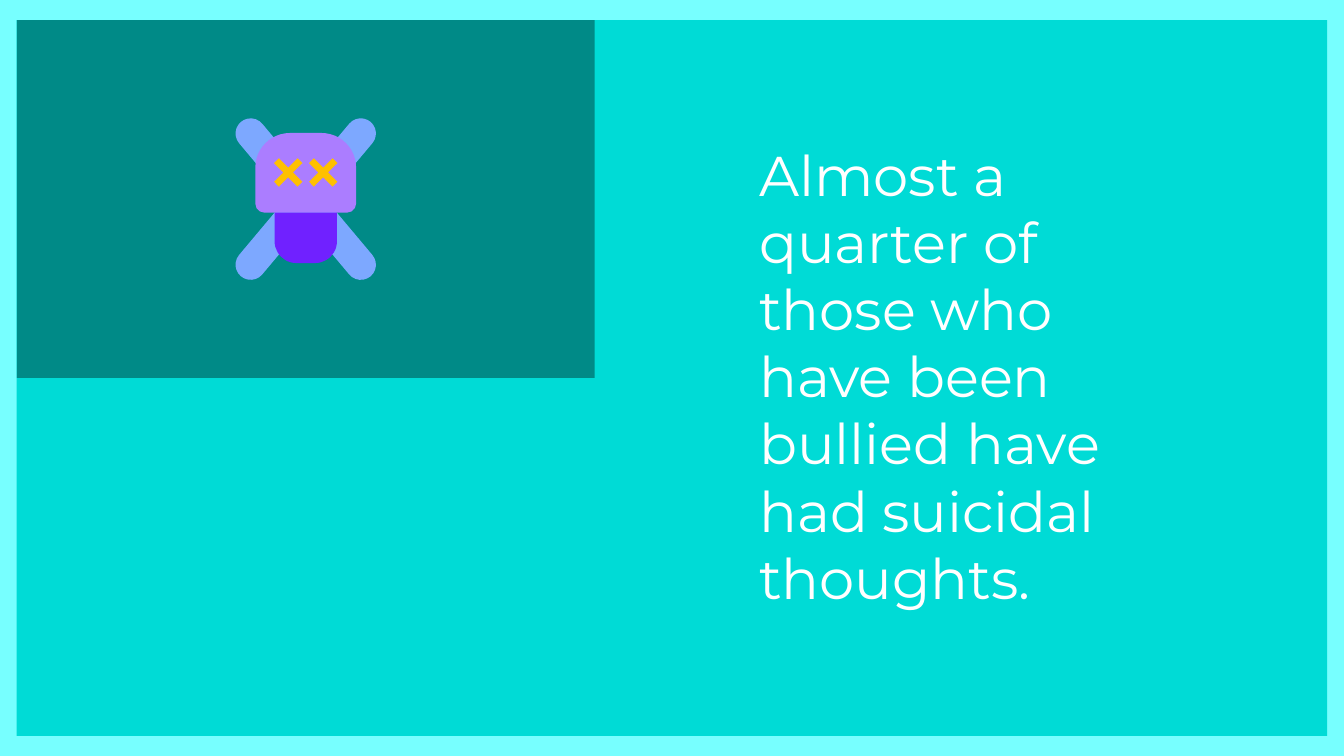
from pptx import Presentation
from pptx import util as u
from pptx.dml.color import RGBColor
from pptx.enum import shapes, text

WIDTH, HEIGHT = 960, 540


def paint(shape, color):
    """Give a shape a flat fill with no line or shadow."""
    shape.shadow.inherit = False
    shape.fill.solid()
    shape.fill.fore_color.rgb = RGBColor.from_string(color)
    shape.line.fill.background()


def add_block(parent, kind, left, top, width, height, color, turn=0, rounding=()):
    block = parent.shapes.add_shape(
        kind, u.Pt(left), u.Pt(top), u.Pt(width), u.Pt(height))
    block.rotation = turn
    for index, value in enumerate(rounding):
        block.adjustments[index] = value
    paint(block, color)


def add_cross(parent, center_x, center_y, color):
    """Draw a diagonal cross from one arm turned through four quarters."""
    notch, near, far = 3.4, 6.7, 10.1
    x_y = [(0, -notch), (near, -far), (far, -near)]
    points = []
    for _ in range(4):
        points += x_y
        x_y = [(-y, x) for x, y in x_y]
    outline = [(u.Pt(center_x + x), u.Pt(center_y + y)) for x, y in points]
    builder = parent.shapes.build_freeform(*outline[0])
    builder.add_line_segments(outline[1:], close=True)
    paint(builder.convert_to_shape(), color)


def add_skull(page, left, top, width, height):
    """Centre a skull and crossbones in the box."""
    center_x, center_y = left + width / 2, top + height / 2
    group = page.shapes.add_group_shape()
    kinds = shapes.MSO_SHAPE
    for turn in (320, 40):
        add_block(group, kinds.ROUNDED_RECTANGLE, center_x - 10.8, center_y - 72,
                  21.6, 144, "7DA8FF", turn, (0.5,))
    head_top, head_height = center_y - 47.2, 56.9
    add_block(group, kinds.ROUND_2_SAME_RECTANGLE, center_x - 36, head_top,
              72, head_height, "AB7DFF", 0, (0.434, 0.114))
    add_block(group, kinds.ROUND_2_SAME_RECTANGLE, center_x - 22.3,
              head_top + head_height, 44.6, 36, "7021FF", 180, (0.434, 0))
    for side in (-1, 1):
        add_cross(group, center_x + side * 12.5, center_y - 19, "FFC000")


def add_statement(page, left, top, width, height, wording):
    box = page.shapes.add_textbox(u.Pt(left), u.Pt(top), u.Pt(width), u.Pt(height))
    frame = box.text_frame
    frame.word_wrap = True
    frame.auto_size = text.MSO_AUTO_SIZE.SHAPE_TO_FIT_TEXT
    span = frame.paragraphs[0].add_run()
    span.text = wording
    span.font.size = u.Pt(40)
    span.font.name = "Montserrat"
    span.font.color.rgb = RGBColor.from_string("FFFFFF")


def add_statement_slide(deck, wording):
    page = deck.slides.add_slide(deck.slide_layouts[6])
    page.background.fill.solid()
    page.background.fill.fore_color.rgb = RGBColor.from_string("77FFFF")
    left, top = 12, 14.4
    rectangle = shapes.MSO_SHAPE.RECTANGLE
    add_block(page, rectangle, left, top, WIDTH - 2 * left, HEIGHT - 2 * top, "00DBD6")
    icon_panel = (left, top, 412.8, 255.6)
    add_block(page, rectangle, *icon_panel, "008A87")
    add_statement(page, 535.2, 96.6, 305.3, 346.3, wording)
    add_skull(page, *icon_panel)


def main():
    deck = Presentation()
    deck.slide_width, deck.slide_height = u.Pt(WIDTH), u.Pt(HEIGHT)
    add_statement_slide(
        deck, "Almost a quarter of those who have been bullied have had suicidal thoughts.")
    deck.save("out.pptx")


if __name__ == "__main__":
    main()
